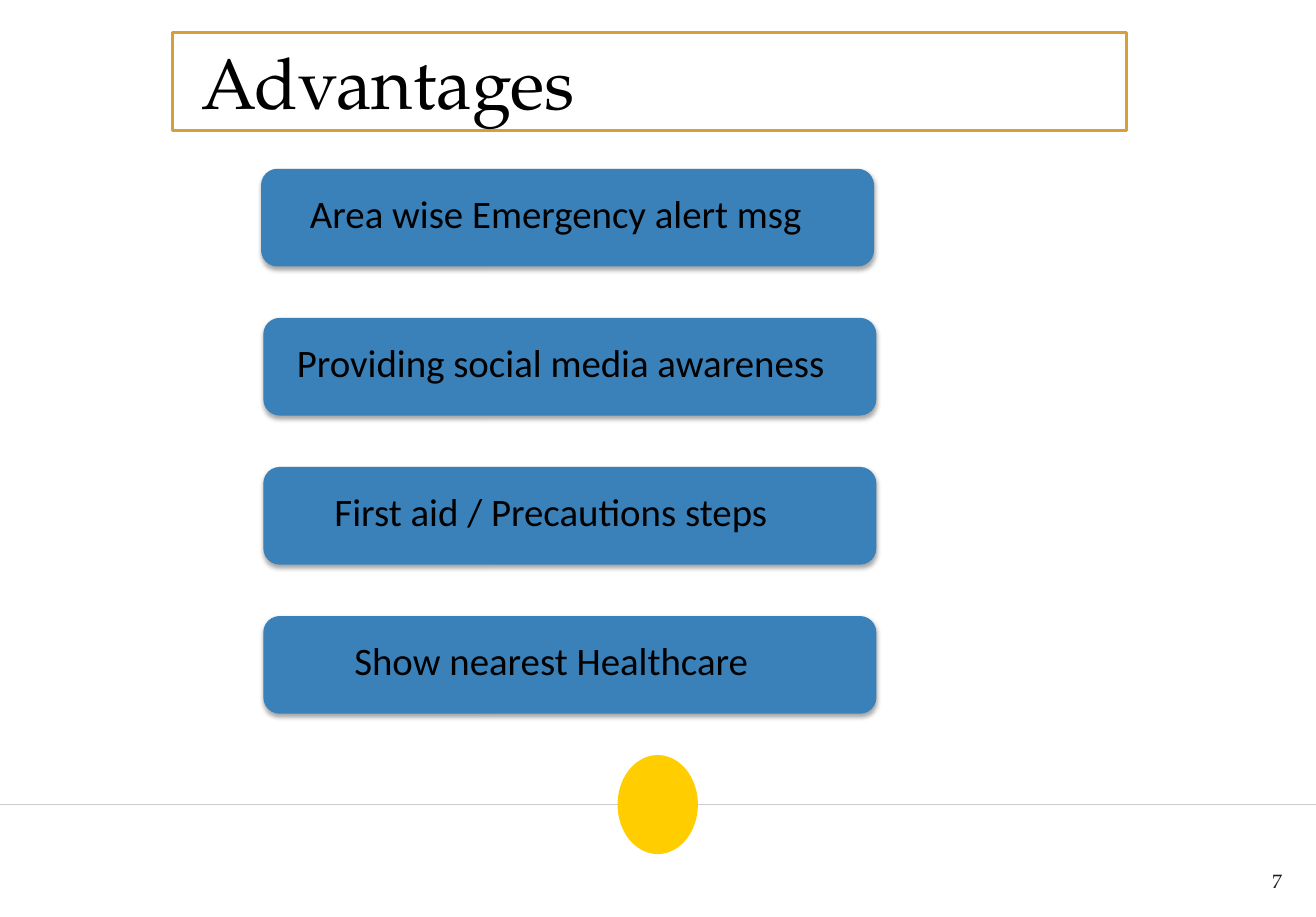
import lxml.etree
import pptx
import pptx.dml.color
import pptx.enum.shapes
import pptx.enum.text
import pptx.oxml
import pptx.oxml.ns
import pptx.util

Cm = pptx.util.Cm
Pt = pptx.util.Pt
SHAPE = pptx.enum.shapes.MSO_SHAPE
ALIGN = pptx.enum.text.PP_ALIGN
ANCHOR = pptx.enum.text.MSO_ANCHOR

SERIF = "TeX Gyre Pagella"
CARD_TOP, CARD_PITCH = 3.68, 3.25
CARD_WIDTH, CARD_HEIGHT = 13.36, 2.13
LABEL_DROP, LABEL_HEIGHT = 0.32, 1.27

# Card left, label left, label width, alignment, wording
ADVANTAGES = [
    (5.69, 6.4, 11.43, ALIGN.CENTER, "Area wise Emergency alert msg"),
    (5.74, 6.22, 12.7, ALIGN.LEFT, "Providing social media awareness"),
    (5.74, 7.04, 12.9, ALIGN.LEFT, "First aid / Precautions steps"),
    (5.74, 6.3, 11.43, ALIGN.CENTER, "Show nearest Healthcare"),
]


def rgb(value):
    return pptx.dml.color.RGBColor.from_string(value)


def set_all(obj, values):
    for name, value in values.items():
        setattr(obj, name, value)


def add_filled(slide, kind, box, fill, line=None):
    sp = slide.shapes.add_shape(kind, *map(Cm, box))
    sp.shadow.inherit = False
    sp.fill.solid()
    sp.fill.fore_color.rgb = rgb(fill)
    if line:
        sp.line.color.rgb = rgb(line)
        sp.line.width = Pt(2)
    else:
        sp.line.fill.background()
    return sp


def write(sp, text, font, size, color="000000", align=ALIGN.LEFT, **frame):
    tf = sp.text_frame
    set_all(tf, {"word_wrap": True, "vertical_anchor": ANCHOR.TOP, **frame})
    p = tf.paragraphs[0]
    p.alignment = align
    r = p.add_run()
    r.text = text
    set_all(r.font, {"name": font, "size": Pt(size)})
    r.font.color.rgb = rgb(color)


def add_label(slide, box, text, *style, **frame):
    write(slide.shapes.add_textbox(*map(Cm, box)), text, *style, **frame)


def add_drop_shadow(sp):
    """Fill the shape's empty effect list with a soft shadow below it."""
    effects = sp._element.spPr.find(pptx.oxml.ns.qn("a:effectLst"))
    effects.append(pptx.oxml.parse_xml(
        f'<a:outerShdw {pptx.oxml.ns.nsdecls("a")} blurRad="{Pt(3.1)}" '
        f'dist="{Pt(1.8)}" dir="5400000" rotWithShape="0">'
        '<a:srgbClr val="000000"><a:alpha val="35000"/></a:srgbClr>'
        '</a:outerShdw>'))


def add_rule(slide, width, y):
    line = slide.shapes.add_connector(
        pptx.enum.shapes.MSO_CONNECTOR.STRAIGHT, 0, Cm(y), width, Cm(y))
    line.line.color.rgb = rgb("CCCCCC")
    line.line.width = Pt(0.75)
    lxml.etree.SubElement(line._element.spPr, pptx.oxml.ns.qn("a:effectLst"))


def add_advantage(slide, top, card_left, label_left, label_width, align, text):
    card = add_filled(slide, SHAPE.ROUNDED_RECTANGLE,
                      (card_left, top, CARD_WIDTH, CARD_HEIGHT), "3A81BA")
    add_drop_shadow(card)
    add_label(slide, (label_left, top + LABEL_DROP, label_width, LABEL_HEIGHT),
              text, "Calibri", 24, "000000", align)


def main():
    prs = pptx.Presentation()
    set_all(prs, {"slide_width": Cm(28.68), "slide_height": Cm(19.99)})
    slide = prs.slides.add_slide(prs.slide_layouts[6])

    add_rule(slide, prs.slide_width, 17.53)
    add_filled(slide, SHAPE.OVAL, (13.46, 16.46, 1.75, 2.16), "FFCD00")
    add_label(slide, (26.97, 18.52, 1.73, 1.37), "7", SERIF, 12, "1D1D1B",
              ALIGN.CENTER, vertical_anchor=ANCHOR.MIDDLE)

    title = add_filled(slide, SHAPE.RECTANGLE, (3.76, 0.71, 20.8, 2.13),
                       "FFFFFF", "D89F39")
    write(title, "Advantages", SERIF, 44, margin_left=Cm(0.64))

    for i, advantage in enumerate(ADVANTAGES):
        add_advantage(slide, CARD_TOP + i * CARD_PITCH, *advantage)

    prs.save("out.pptx")


if __name__ == "__main__":
    main()
